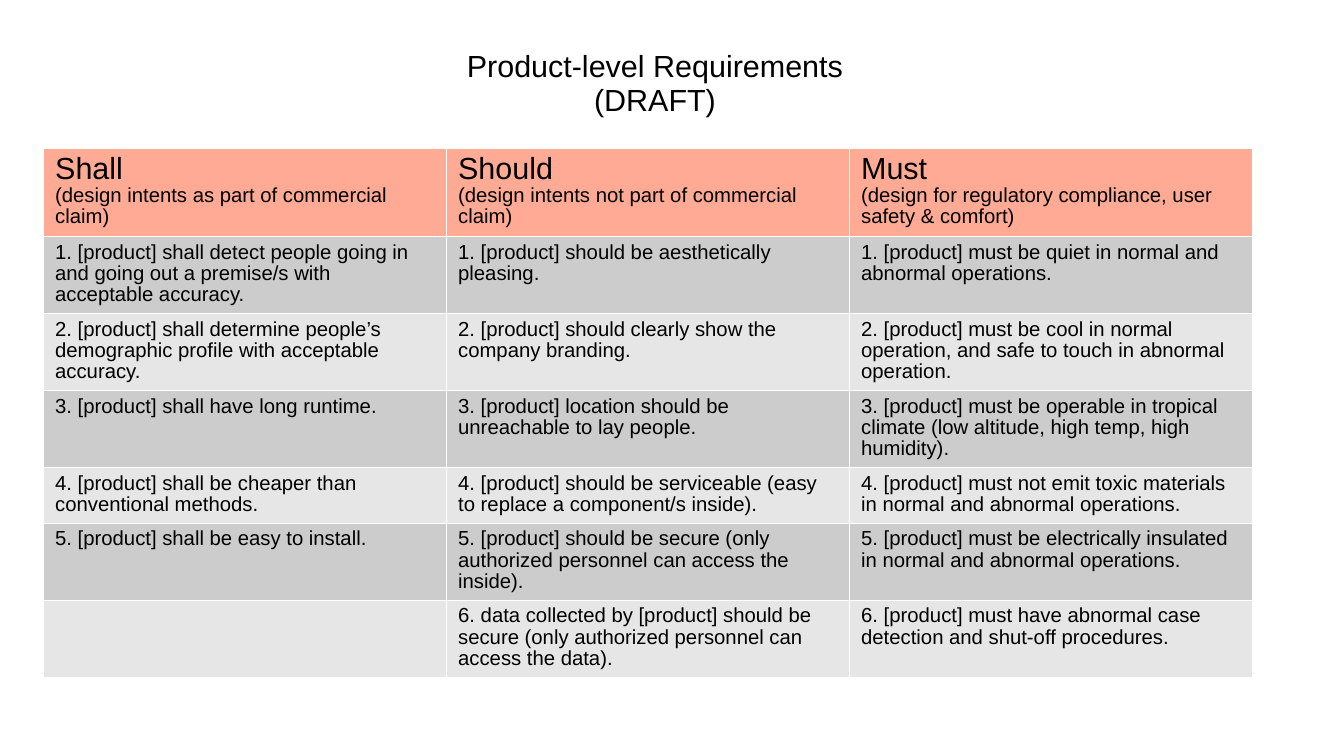
from lxml.etree import SubElement
from pptx import Presentation
from pptx.dml.color import RGBColor
from pptx.enum.text import MSO_ANCHOR, MSO_AUTO_SIZE, PP_ALIGN
from pptx.oxml.ns import qn
from pptx.util import Emu, Pt

PX = 914400 // 122
BLACK = RGBColor(0x00, 0x00, 0x00)
WHITE = RGBColor(0xFF, 0xFF, 0xFF)
SALMON = RGBColor(0xFF, 0xAA, 0x95)
GRAY = RGBColor(0xCC, 0xCC, 0xCC)
LIGHT = RGBColor(0xE6, 0xE6, 0xE6)

COL_WIDTH = 403
ROW_HEIGHTS = [88, 77, 77, 77, 56, 77, 77]
ROWS = [
    ["Shall\n(design intents as part of commercial claim)",
     "Should\n(design intents not part of commercial claim)",
     "Must\n(design for regulatory compliance, user safety & comfort)"],
    ["1. [product] shall detect people going in and going out a premise/s with acceptable accuracy.",
     "1. [product] should be aesthetically pleasing.",
     "1. [product] must be quiet in normal and abnormal operations."],
    ["2. [product] shall determine people’s demographic profile with acceptable accuracy.",
     "2. [product] should clearly show the company branding.",
     "2. [product] must be cool in normal operation, and safe to touch in abnormal operation."],
    ["3. [product] shall have long runtime.",
     "3. [product] location should be unreachable to lay people.",
     "3. [product] must be operable in tropical climate (low altitude, high temp, high humidity)."],
    ["4. [product] shall be cheaper than conventional methods.",
     "4. [product] should be serviceable (easy to replace a component/s inside).",
     "4. [product] must not emit toxic materials in normal and abnormal operations."],
    ["5. [product] shall be easy to install.",
     "5. [product] should be secure (only authorized personnel can access the inside).",
     "5. [product] must be electrically insulated in normal and abnormal operations."],
    ["",
     "6. data collected by [product] should be secure (only authorized personnel can access the data).",
     "6. [product] must have abnormal case detection and shut-off procedures."],
]


def px(*values):
    return [Emu(v * PX) for v in values]


def format_paragraph(p, size):
    p.line_spacing = 0.93
    for r in p.runs:
        r.font.name = "Arial"
        r.font.size = Pt(size)
        r.font.bold = False
        r.font.color.rgb = BLACK


prs = Presentation()
prs.slide_width, prs.slide_height = px(1344, 756)
s = prs.slides.add_slide(prs.slide_layouts[5])

title = s.shapes.title
title.left, title.top, title.width, title.height = px(390, 61, 530, 46)
tf = title.text_frame
tf.text = "Product-level Requirements (DRAFT)"
tf.auto_size = MSO_AUTO_SIZE.NONE
tf.word_wrap = False
tf.vertical_anchor = MSO_ANCHOR.MIDDLE
tf.paragraphs[0].alignment = PP_ALIGN.CENTER
format_paragraph(tf.paragraphs[0], 18)

table = s.shapes.add_table(
    len(ROWS), 3, *px(43, 148, 3 * COL_WIDTH, sum(ROW_HEIGHTS))).table
table.first_row = False
table.horz_banding = False
for col in table.columns:
    col.width, = px(COL_WIDTH)

for i, texts in enumerate(ROWS):
    table.rows[i].height, = px(ROW_HEIGHTS[i])
    for j, text in enumerate(texts):
        cell = table.cell(i, j)
        cell.text_frame.text = text
        for k, p in enumerate(cell.text_frame.paragraphs):
            format_paragraph(p, 18 if i == 0 and k == 0 else 12)
        tc_pr = cell._tc.get_or_add_tcPr()
        for side in ("a:lnL", "a:lnR", "a:lnT", "a:lnB"):
            ln = SubElement(tc_pr, qn(side), w=str(Pt(0.06)))
            fill = SubElement(ln, qn("a:solidFill"))
            SubElement(fill, qn("a:srgbClr"), val=str(WHITE))
        cell.fill.solid()
        cell.fill.fore_color.rgb = SALMON if i == 0 else GRAY if i % 2 else LIGHT

prs.save("out.pptx")
